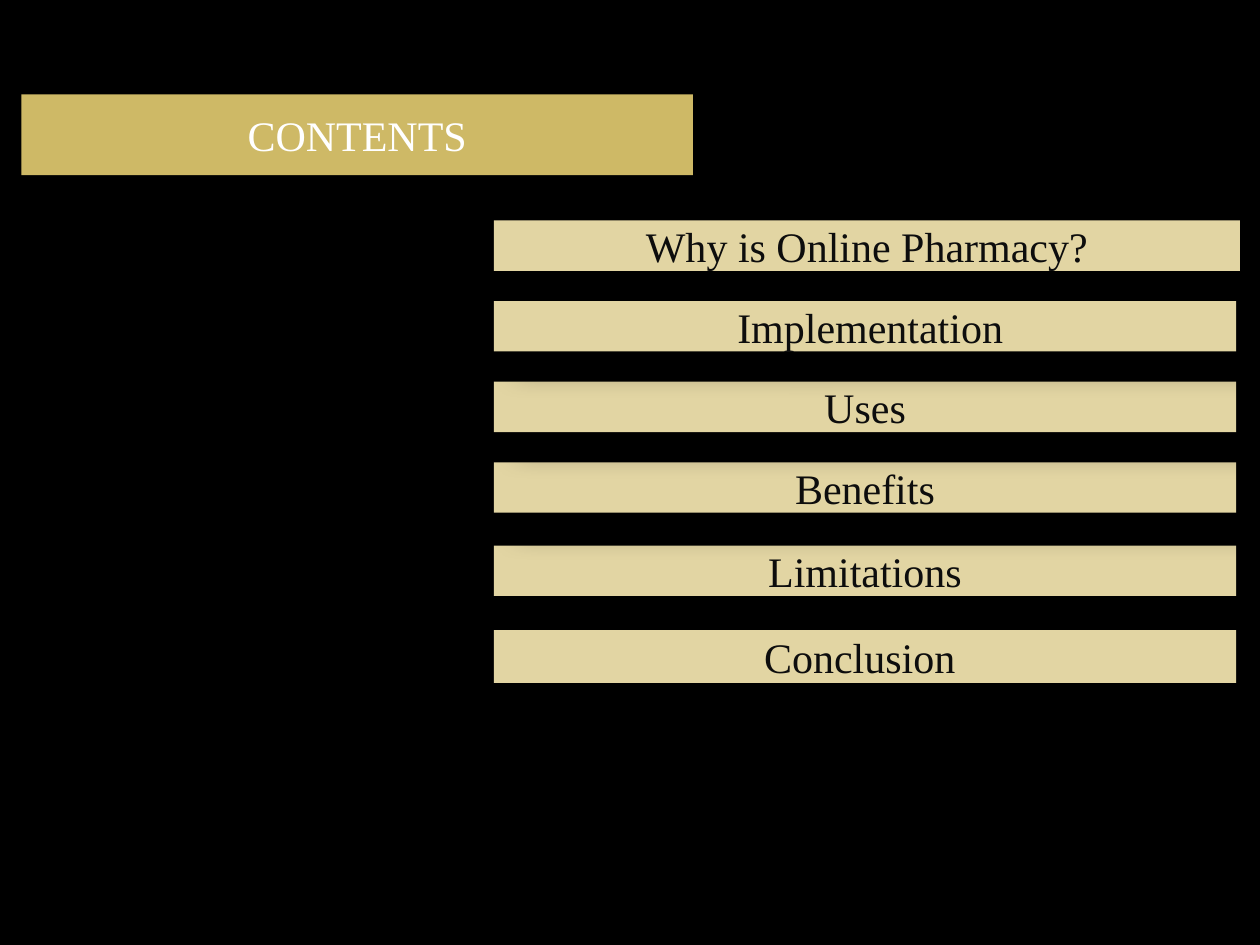
from lxml.etree import SubElement
from pptx import Presentation
from pptx.dml.color import RGBColor
from pptx.enum.shapes import MSO_SHAPE as Shape
from pptx.enum.text import MSO_ANCHOR as Anchor, PP_ALIGN as Align
from pptx.oxml.ns import qn
from pptx.util import Inches, Pt

BLACK = RGBColor(0x00, 0x00, 0x00)
WHITE = RGBColor(0xFF, 0xFF, 0xFF)
INK = RGBColor(0x0D, 0x0D, 0x0D)
GOLD = RGBColor(0xCE, 0xB9, 0x66)
SAND = RGBColor(0xE2, 0xD5, 0xA3)

FONT = "Times New Roman"
TEXT_SIZE = Pt(24)

# Topic column, in inches
TOPIC_LEFT, TOPIC_WIDTH, TOPIC_HEIGHT = 3.92, 5.89, 0.4
FIRST_TOP, ROW_STEP = 1.75, 0.64


def row_top(row):
    return FIRST_TOP + row * ROW_STEP


def add_shadow(box):
    """Soft black shadow falling to the lower right."""
    box.shadow.inherit = False
    effects = box.fill._xPr.find(qn("a:effectLst"))
    shadow = SubElement(effects, qn("a:outerShdw"), blurRad=str(Pt(15)),
                        dist=str(Pt(18)), dir=str(45 * 60000),
                        algn="tl", rotWithShape="0")
    color = SubElement(shadow, qn("a:srgbClr"), val=str(BLACK))
    SubElement(color, qn("a:alpha"), val="30000")


def add_span(para, text, color):
    span = para.add_run()
    span.text = text
    span.font.name = FONT
    span.font.size = TEXT_SIZE
    span.font.color.rgb = color


def add_bar(page, left, top, width, height, fill, spans):
    """Shadowed bar with one centred line made of (text, colour) spans."""
    box = page.shapes.add_shape(Shape.RECTANGLE, Inches(left), Inches(top),
                                Inches(width), Inches(height))
    box.fill.solid()
    box.fill.fore_color.rgb = fill
    box.line.fill.background()
    add_shadow(box)
    box.text_frame.word_wrap = True
    box.text_frame.vertical_anchor = Anchor.MIDDLE
    para = box.text_frame.paragraphs[0]
    para.alignment = Align.CENTER
    for text, color in spans:
        add_span(para, text, color)


def add_topic(page, top, spans, width=TOPIC_WIDTH, height=TOPIC_HEIGHT):
    add_bar(page, TOPIC_LEFT, top, width, height, SAND, spans)


def main():
    deck = Presentation()
    deck.slide_width, deck.slide_height = Inches(10), Inches(7.5)
    page = deck.slides.add_slide(deck.slide_layouts[6])
    page.background.fill.solid()
    page.background.fill.fore_color.rgb = BLACK

    # Heading
    add_bar(page, 0.17, 0.75, 5.33, 0.64, GOLD, [("CONTENTS", WHITE)])

    # Topics: the middle ones stack upwards, so shadows fall on the bar below
    add_topic(page, row_top(0), [("Why is Online Pharmacy?", INK)], width=5.92)
    add_topic(page, 4.33, [("Limitations", INK)])
    add_topic(page, row_top(3), [("Benefits", INK)])
    add_topic(page, row_top(2), [("Uses", INK)])
    add_topic(page, row_top(1), [(" ", WHITE), ("Implementation", INK)])
    add_topic(page, 5, [("Conclusion ", INK)], height=0.42)

    deck.save("out.pptx")


if __name__ == "__main__":
    main()
